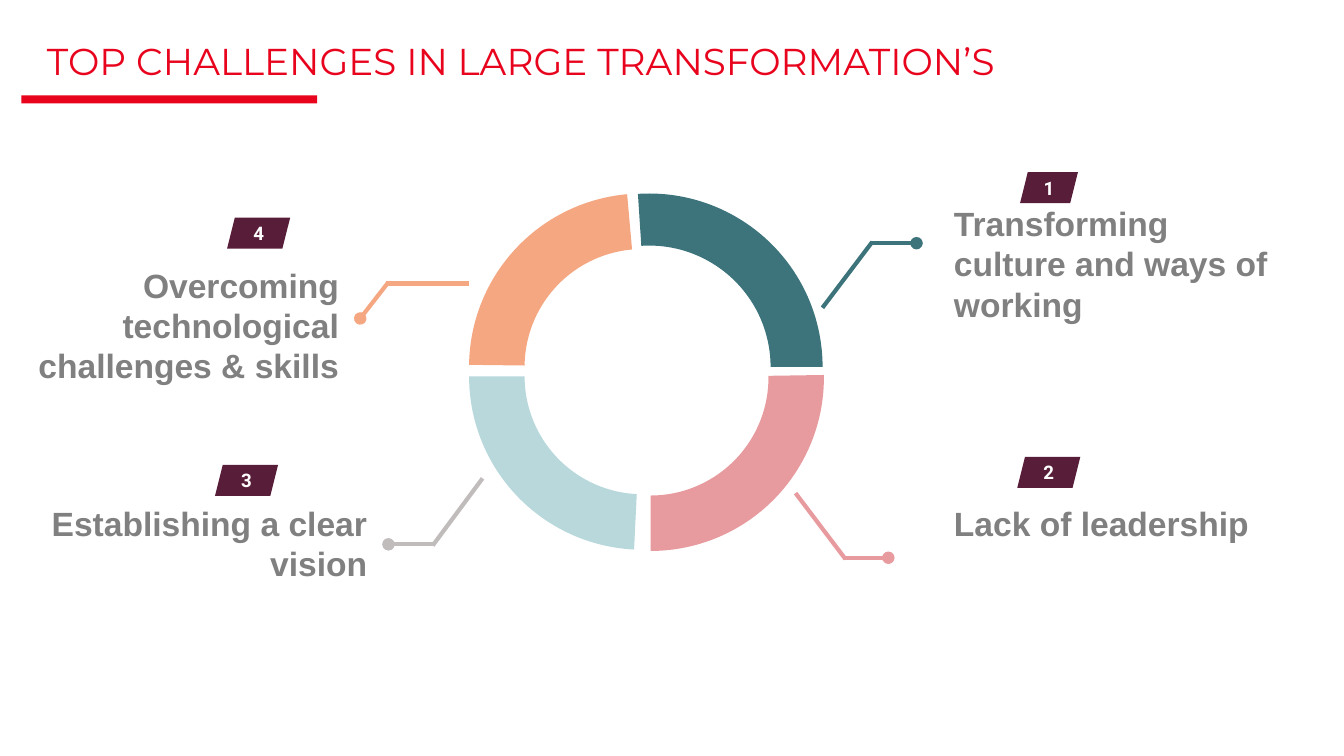
import pptx
import pptx.util
import pptx.dml.color
import pptx.enum.shapes
import pptx.enum.text
import pptx.oxml.ns
import lxml.etree

Pt = pptx.util.Pt
SHAPE = pptx.enum.shapes.MSO_SHAPE
ALIGN = pptx.enum.text.PP_ALIGN
ANCHOR = pptx.enum.text.MSO_ANCHOR
qn = pptx.oxml.ns.qn

RED, PLUM, GREY, WHITE = "E9041E", "581D39", "808080", "FFFFFF"
TEAL, PINK, AQUA, ORANGE, SILVER = "3D747C", "E89B9F", "B8D8DC", "F4A781", "C1BCBC"

TITLE = "TOP CHALLENGES IN LARGE TRANSFORMATION’S"
RING_SIZE = 185.8
ARCS = [
    (251.3, 108.7, "V", (108, 160.33, 0.16), AQUA),
    (254.9, 103.7, "H", (108, 164.23, 0.15), TEAL),
    (255.6, 109.4, "HV", (107.49, 162, 0.16), PINK),
    (251.3, 103.7, "", (108.42, 158.95, 0.16), ORANGE),
]
LEADERS = [
    (PINK, (426.2, 264.2, 452.9, 299.5), (451.4, 298.8, 475.9, 298.8)),
    (ORANGE, (251.3, 151.9, 206.6, 151.9), (208.1, 151.2, 193, 170.6)),
    (TEAL, (440.6, 164.9, 467.3, 129.6), (466.6, 130.3, 491, 130.3)),
    (SILVER, (258.5, 256.3, 231.8, 292.3), (232.6, 291.6, 208.1, 291.6)),
]
CHALLENGES = [
    ("Transforming culture and ways of working", ALIGN.LEFT,
     (504, 105.1, 187.2, 72.7), (546.5, 92.2, 31)),
    ("Lack of leadership", ALIGN.LEFT,
     (504, 265.7, 187.2, 28.8), (545, 244.8, 33.8)),
    ("Establishing a clear vision", ALIGN.RIGHT,
     (16.6, 265.7, 187.2, 51.1), (115.2, 249.1, 33.8)),
    ("Overcoming technological challenges & skills", ALIGN.RIGHT,
     (9.4, 138.2, 179.3, 72.7), (121.7, 116.6, 33.8)),
]
BADGE_HEIGHT = 16.6


def rgb(value):
    return pptx.dml.color.RGBColor.from_string(value)


def add_shape(s, kind, box, color):
    sp = s.shapes.add_shape(kind, *map(Pt, box))
    sp.shadow.inherit = False
    sp.fill.solid()
    sp.fill.fore_color.rgb = rgb(color)
    sp.line.fill.background()
    return sp


def add_text(sp, text, size, font, color, align, bold=False, inset=True):
    tf = sp.text_frame
    tf.word_wrap = True
    tf.auto_size = pptx.enum.text.MSO_AUTO_SIZE.SHAPE_TO_FIT_TEXT
    if not inset:
        tf.margin_left = tf.margin_top = tf.margin_right = tf.margin_bottom = 0
    p = tf.paragraphs[0]
    p.alignment = align
    r = p.add_run()
    r.text = text
    r.font.size = Pt(size)
    r.font.name = font
    r.font.bold = bold
    r.font.color.rgb = rgb(color)
    return tf, p


def add_line(s, ends, color, dot=False):
    cn = s.shapes.add_connector(
        pptx.enum.shapes.MSO_CONNECTOR.STRAIGHT, *map(Pt, ends))
    cn.line.color.rgb = rgb(color)
    cn.line.width = Pt(2.25)
    if dot:
        ln = cn.line._get_or_add_ln()
        lxml.etree.SubElement(ln, qn("a:tailEnd")).set("type", "oval")
    lxml.etree.SubElement(cn._element.spPr, qn("a:effectLst"))


def main():
    prs = pptx.Presentation()
    prs.slide_width, prs.slide_height = Pt(720), Pt(405)
    s = prs.slides.add_slide(prs.slide_layouts[6])

    add_shape(s, SHAPE.RECTANGLE, (11.5, 51.1, 158.4, 4.3), RED)
    title = s.shapes.add_textbox(*map(Pt, (25.2, 25.2, 614.2, 18.7)))
    tf, p = add_text(title, TITLE, 20, "Montserrat", RED, ALIGN.LEFT, inset=False)
    tf.vertical_anchor = ANCHOR.BOTTOM
    p.line_spacing = 0.75

    for left, top, flips, adjustments, color in ARCS:
        sp = add_shape(s, SHAPE.BLOCK_ARC, (left, top, RING_SIZE, RING_SIZE), color)
        for i, value in enumerate(adjustments):
            sp.adjustments[i] = value
        for axis in flips:
            sp._element.spPr.find(qn("a:xfrm")).set("flip" + axis, "1")

    for color, inner, outer in LEADERS:
        add_line(s, inner, color)
        add_line(s, outer, color, dot=True)

    for number, (text, align, box, (left, top, width)) in enumerate(CHALLENGES, 1):
        label = s.shapes.add_textbox(*map(Pt, box))
        add_text(label, text, 18, "Arial", GREY, align, bold=True)
        badge = add_shape(s, SHAPE.PARALLELOGRAM, (left, top, width, BADGE_HEIGHT), PLUM)
        tf, p = add_text(badge, str(number), 10, "Roboto", WHITE, ALIGN.CENTER,
                         bold=True, inset=False)
        tf.vertical_anchor = ANCHOR.MIDDLE
        p.space_before = Pt(12)

    prs.save("out.pptx")


if __name__ == "__main__":
    main()
